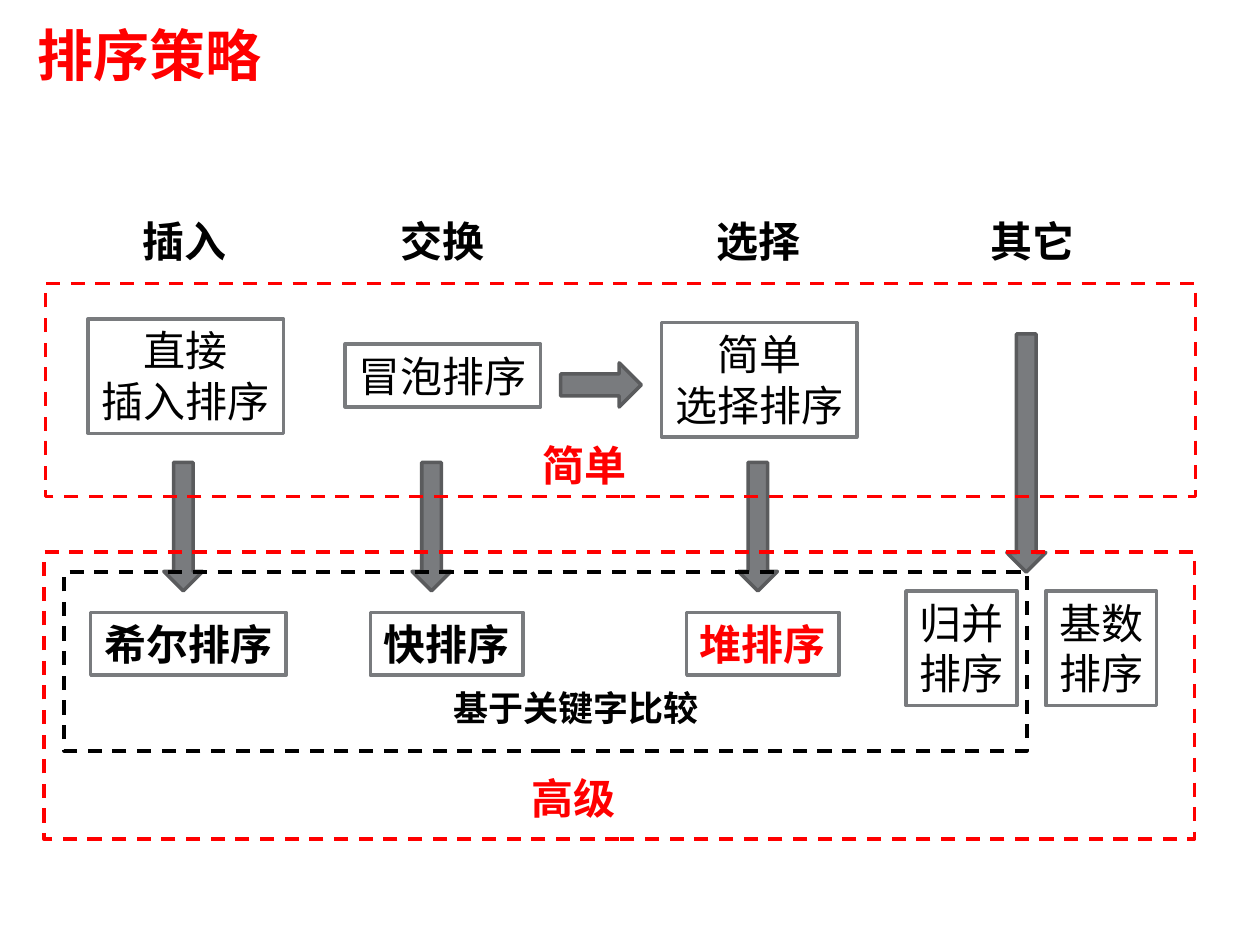
from pptx import Presentation
from pptx.dml.color import RGBColor
from pptx.enum.dml import MSO_LINE
from pptx.enum.shapes import MSO_SHAPE
from pptx.enum.text import MSO_ANCHOR, MSO_AUTO_SIZE, PP_ALIGN
from pptx.util import Inches, Pt

COLORS = {
    "red": "FF0000",
    "black": "000000",
    "gray": "797B7E",
    "dark_gray": "5A5B5D",
}
FONT = "Times New Roman"
ONE_LINE, TWO_LINES = 0.5, 0.91  # box heights


def color(name):
    return RGBColor.from_string(COLORS[name])


def write_text(shape, text, size=24, color_name="black", bold=False,
               align=PP_ALIGN.LEFT, anchor=MSO_ANCHOR.TOP, wrap=False):
    frame = shape.text_frame
    frame.word_wrap = wrap
    frame.auto_size = MSO_AUTO_SIZE.SHAPE_TO_FIT_TEXT
    frame.vertical_anchor = anchor
    frame.text = text
    for paragraph in frame.paragraphs:
        paragraph.alignment = align
        for run in paragraph.runs:
            run.font.name = FONT
            run.font.size = Pt(size)
            run.font.bold = bold
            run.font.color.rgb = color(color_name)


def add_label(slide, text, left, top, width=0.88, height=ONE_LINE, **text_format):
    label = slide.shapes.add_textbox(
        Inches(left), Inches(top), Inches(width), Inches(height))
    write_text(label, text, bold=True, **text_format)


def add_outline(slide, kind, left, top, width, height, line="gray", fill=None):
    shape = slide.shapes.add_shape(
        kind, Inches(left), Inches(top), Inches(width), Inches(height))
    shape.shadow.inherit = False
    shape.line.color.rgb = color(line)
    shape.line.width = Pt(2)
    if fill:
        shape.fill.solid()
        shape.fill.fore_color.rgb = color(fill)
    else:
        shape.fill.background()
    return shape


def add_method(slide, text, left, top, width, **text_format):
    height = TWO_LINES if "\n" in text else ONE_LINE
    box = add_outline(slide, MSO_SHAPE.RECTANGLE, left, top, width, height)
    write_text(box, text, align=PP_ALIGN.CENTER, **text_format)


def add_arrow(slide, kind, left, top, width, height):
    add_outline(slide, kind, left, top, width, height,
                line="dark_gray", fill="gray")


def add_dashed_frame(slide, left, top, width, height, line):
    frame = add_outline(slide, MSO_SHAPE.RECTANGLE, left, top, width, height, line)
    frame.line.dash_style = MSO_LINE.DASH


def place_title(slide, left, top, width, height):
    title = slide.shapes.title
    title.left, title.top = Inches(left), Inches(top)
    title.width, title.height = Inches(width), Inches(height)
    write_text(title, "排序策略", size=32, color_name="red", bold=True, wrap=True)


def place_headings(slide, left, top):
    for text, offset in (("插入", 0), ("交换", 2.05), ("选择", 4.56), ("其它", 6.73)):
        add_label(slide, text, left + offset, top)


def place_down_arrows(slide, left, top):
    for offset_x, offset_y, height in (
            (0, 0, 1.02), (1.97, 0, 1.02), (4.56, 0, 1.02), (6.69, -1.02, 1.89)):
        add_arrow(slide, MSO_SHAPE.DOWN_ARROW,
                  left + offset_x, top + offset_y, 0.31, height)


def place_simple_methods(slide, left, top, width, height):
    for text, offset_x, offset_y in (
            ("直接\n插入排序", 0.34, 0.28),
            ("冒泡排序", 2.38, 0.48),
            ("简单\n选择排序", 4.89, 0.31)):
        add_method(slide, text, left + offset_x, top + offset_y, 1.55)
    add_arrow(slide, MSO_SHAPE.RIGHT_ARROW, left + 4.09, top + 0.63, 0.64, 0.35)
    add_dashed_frame(slide, left, top, width, height, "red")
    add_label(slide, "简单", left + 3.85, top + height - ONE_LINE, color_name="red")


def place_advanced_methods(slide, left, top, width, height):
    # Improved versions of the simple methods
    for text, offset, box_width, color_name in (
            ("希尔排序", 0.37, 1.55, "black"),
            ("快排序", 2.59, 1.21, "black"),
            ("堆排序", 5.1, 1.21, "red")):
        add_method(slide, text, left + offset, top + 0.48, box_width,
                   color_name=color_name, bold=True)
    # Other methods
    for text, offset in (("归并\n排序", 6.84), ("基数\n排序", 7.95)):
        add_method(slide, text, left + offset, top + 0.31, 0.88)
    # Frames and their captions
    add_dashed_frame(slide, left, top, width, height, "red")
    add_dashed_frame(slide, left + 0.16, top + 0.16, 7.64, 1.42, "black")
    add_label(slide, "基于关键字比较", left + 3.15, top + 1.02, 2.18, 0.44, size=20)
    add_label(slide, "高级", left + 3.77, top + 1.7, color_name="red")


def main():
    presentation = Presentation()
    presentation.slide_width = Inches(10)
    presentation.slide_height = Inches(7.5)
    title_only = presentation.slide_layouts[5]
    slide = presentation.slides.add_slide(title_only)
    place_title(slide, 0.2, 0.11, 6.3, 0.64)
    place_headings(slide, 1.03, 1.66)
    place_down_arrows(slide, 1.3, 3.67)
    place_simple_methods(slide, 0.36, 2.25, 9.13, 1.69)
    place_advanced_methods(slide, 0.35, 4.38, 9.13, 2.28)
    presentation.save("out.pptx")


if __name__ == "__main__":
    main()
